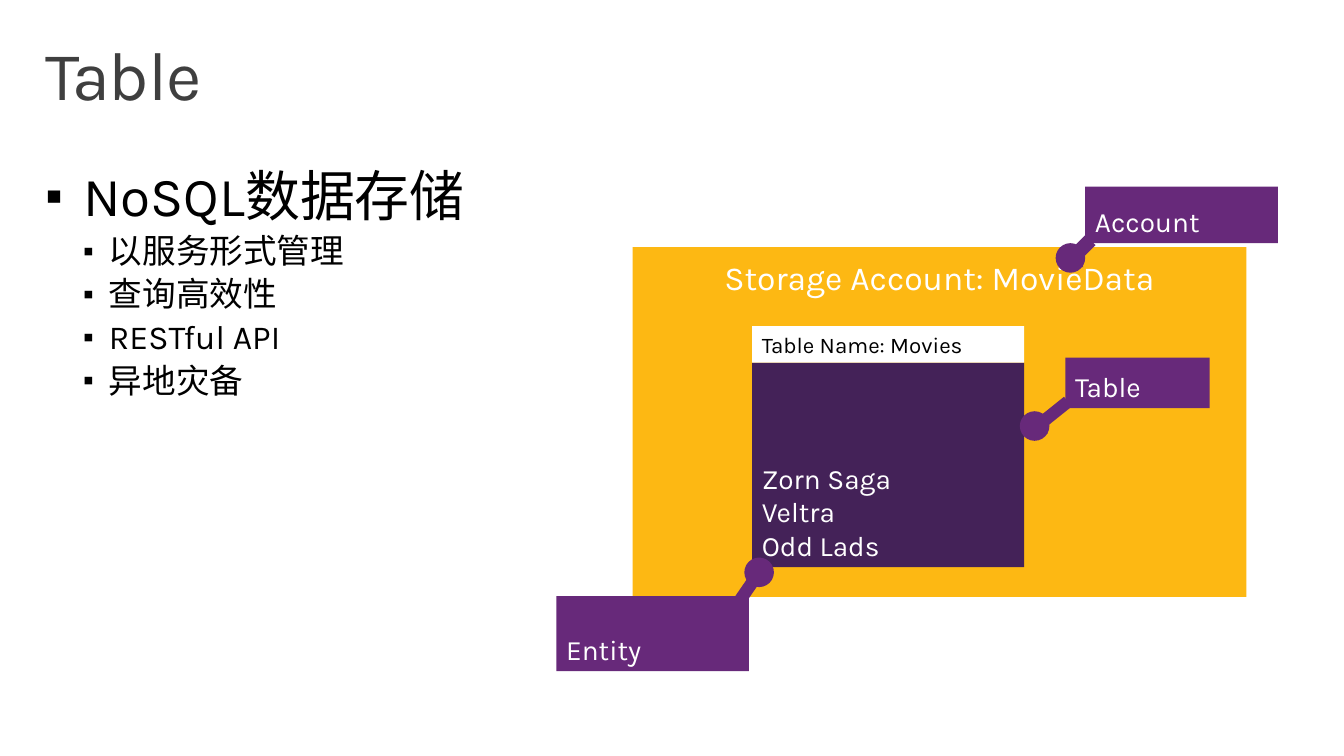
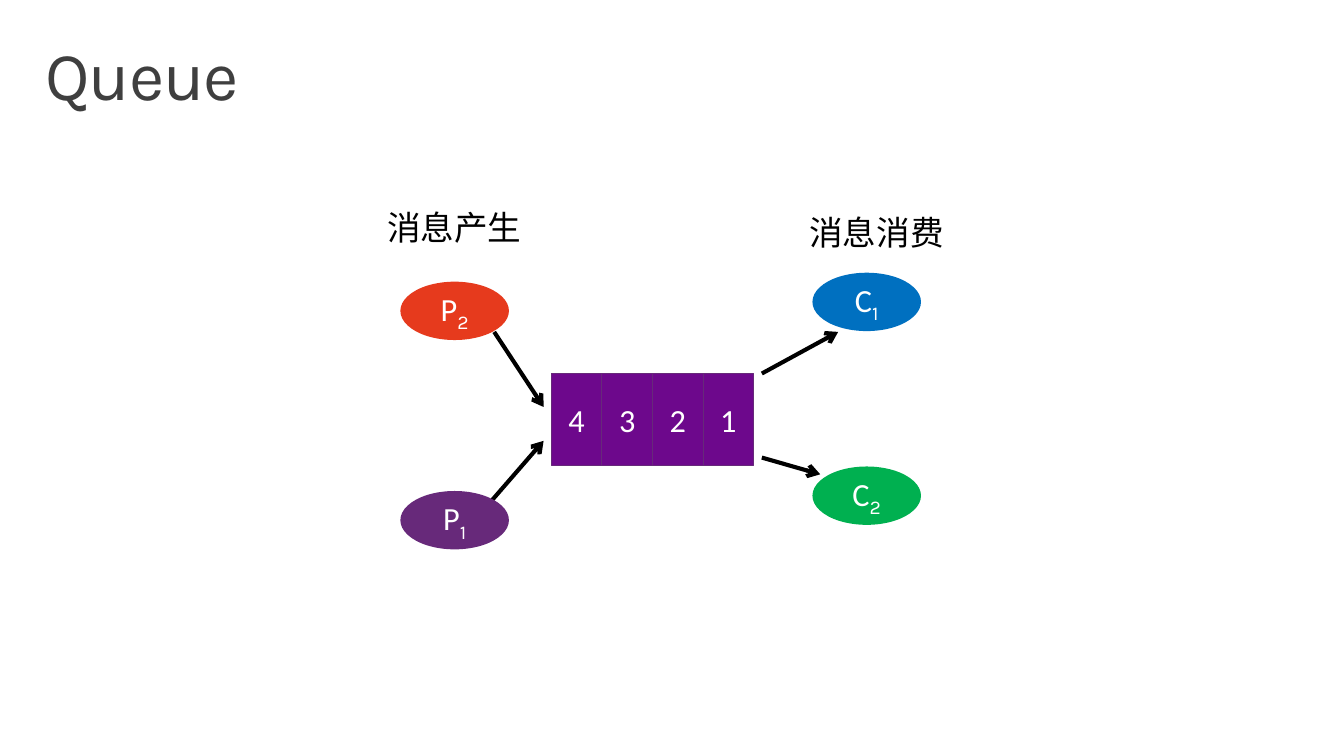
from lxml import etree
from pptx import Presentation
from pptx.dml.color import RGBColor
from pptx.enum.shapes import MSO_CONNECTOR, MSO_SHAPE
from pptx.enum.text import MSO_ANCHOR, MSO_AUTO_SIZE, PP_ALIGN
from pptx.oxml.ns import qn
from pptx.util import Cm, Pt

RECT, OVAL, ARROW = MSO_SHAPE.RECTANGLE, MSO_SHAPE.OVAL, MSO_SHAPE.RIGHT_ARROW
STRAIGHT = MSO_CONNECTOR.STRAIGHT
TOP, MIDDLE, BOTTOM = MSO_ANCHOR.TOP, MSO_ANCHOR.MIDDLE, MSO_ANCHOR.BOTTOM
LEFT, CENTER = PP_ALIGN.LEFT, PP_ALIGN.CENTER
NO_AUTOSIZE = MSO_AUTO_SIZE.NONE

BLACK = RGBColor(0x00, 0x00, 0x00)
WHITE = RGBColor(0xFF, 0xFF, 0xFF)
GRAY = RGBColor(0x3F, 0x3F, 0x3F)
YELLOW = RGBColor(0xFD, 0xB8, 0x13)
PURPLE = RGBColor(0x67, 0x29, 0x7A)
DARK_PURPLE = RGBColor(0x44, 0x22, 0x58)
VIOLET = RGBColor(0x6D, 0x08, 0x8C)
BLUE = RGBColor(0x00, 0x70, 0xC0)
GREEN = RGBColor(0x00, 0xB0, 0x50)
RED = RGBColor(0xE6, 0x3A, 0x1D)
FONT, LABEL_FONT = "Karla", "Calibri"


def write(sp, text, size=24.5, color=WHITE, font=FONT, align=LEFT, anchor=TOP,
          inset=(0.25, 0.13), spacing=None, sub=None):
    """Write one paragraph per line of text, with an optional subscript."""
    tf = sp.text_frame
    tf.word_wrap, tf.auto_size = True, NO_AUTOSIZE
    tf.vertical_anchor = anchor
    tf.margin_left = tf.margin_right = Cm(inset[0])
    tf.margin_top = tf.margin_bottom = Cm(inset[1])
    for i, line in enumerate(text.split("\n")):
        p = tf.add_paragraph() if i else tf.paragraphs[0]
        p.alignment = align
        if spacing:
            p.line_spacing = spacing
        runs = [(line, size, font)]
        if sub:
            runs.append((sub, 24.5, FONT))
        for content, points, name in runs:
            r = p.add_run()
            r.text = content
            r.font.size, r.font.name = Pt(points), name
            r.font.color.rgb = color
        if sub:
            r._r.get_or_add_rPr().set("baseline", "-25000")
    return tf


def add_box(s, kind, x, y, w, h, fill, line=None):
    sp = s.shapes.add_shape(kind, Cm(x), Cm(y), Cm(w), Cm(h))
    sp.shadow.inherit = False
    sp.fill.solid()
    sp.fill.fore_color.rgb = fill
    if line:
        sp.line.color.rgb = line
        sp.line.width = Pt(0.75)
    else:
        sp.line.fill.background()
    return sp


prs = Presentation()
prs.slide_width, prs.slide_height = Cm(34.54), Cm(19.43)

# Slides and their titles
slides = []
for name in ("Table", "Queue"):
    s = prs.slides.add_slide(prs.slide_layouts[5])
    title = s.shapes.title
    title.left, title.top = Cm(0.76), Cm(0.81)
    title.width, title.height = Cm(33.02), Cm(2.54)
    tf = write(title, name, size=50, color=GRAY, inset=(0.41, 0.25), spacing=0.9)
    tf.paragraphs[0].runs[0]._r.get_or_add_rPr().set("spc", "-100")
    slides.append(s)
table_slide, queue_slide = slides

# Table: bullet list
s = table_slide
body = s.shapes.add_textbox(Cm(0.76), Cm(4.09), Cm(30.81), Cm(6.65))
tf = write(body, "NoSQL数据存储\n以服务形式管理\n查询高效性\nRESTful API\n异地灾备",
           color=BLACK, inset=(0.41, 0.25), spacing=0.9)
tf.paragraphs[0].runs[0].font.size = Pt(40)
for i, p in enumerate(tf.paragraphs):
    p.level = 1 if i else 0
    margin, hanging = (1.63, 0.66) if i else (0.97, 0.97)
    pPr = p._p.get_or_add_pPr()
    pPr.set("marL", str(Cm(margin)))
    pPr.set("indent", str(-Cm(hanging)))
    before = etree.SubElement(pPr, qn("a:spcBef"))
    etree.SubElement(before, qn("a:spcPct"), val="20000")
    bullet_color = etree.SubElement(pPr, qn("a:buClr"))
    etree.SubElement(bullet_color, qn("a:srgbClr"), val=str(BLACK))
    etree.SubElement(pPr, qn("a:buSzPct"), val="90000")
    etree.SubElement(pPr, qn("a:buFont"), typeface="Arial")
    etree.SubElement(pPr, qn("a:buChar"), char="▪")

# Table: storage account with its table
account = add_box(s, RECT, 16.26, 6.35, 15.77, 8.99, YELLOW)
write(account, "Storage Account: MovieData", align=CENTER, inset=(0.25, 0.25))
rows = add_box(s, RECT, 19.33, 9.32, 6.99, 5.26, DARK_PURPLE)
write(rows, "Zorn Saga\nVeltra\nOdd Lads", size=20.4, anchor=BOTTOM)
header = add_box(s, RECT, 19.33, 8.38, 6.99, 0.94, WHITE)
write(header, "Table Name: Movies", size=16.3, color=BLACK, anchor=MIDDLE)

# Table: callouts as label box, pointer, pointer angle, dot position
callouts = [
    ("Entity", (14.3, 15.32, 4.95, 1.93), (18.64, 14.66, 1.37, 0.64), 304.5, (19.13, 14.33)),
    ("Table", (27.38, 9.19, 3.71, 1.3), (26.34, 10.39, 1.24, 0.64), 141.3, (26.21, 10.57)),
    ("Account", (27.89, 4.8, 4.95, 1.45), (27.18, 6.15, 0.99, 0.74), 134.8, (27.13, 6.25)),
]
for text, label, pointer, angle, dot in callouts:
    write(add_box(s, RECT, *label, PURPLE), text, size=20.4, anchor=BOTTOM)
    add_box(s, ARROW, *pointer, PURPLE).rotation = angle
    add_box(s, OVAL, *dot, 0.76, 0.76, PURPLE)

# Queue: headings
s = queue_slide
for text, x, y in (("消息产生", 9.7, 5.18), ("消息消费", 20.55, 5.31)):
    write(s.shapes.add_textbox(Cm(x), Cm(y), Cm(4.09), Cm(1.32)), text, color=BLACK)

# Queue: arrows
for x1, y1, x2, y2 in ((12.7, 8.53, 13.97, 10.46), (12.65, 12.85, 13.97, 11.33),
                       (19.58, 9.6, 21.54, 8.53), (19.58, 11.76, 21.08, 12.19)):
    arrow = s.shapes.add_connector(STRAIGHT, Cm(x1), Cm(y1), Cm(x2), Cm(y2))
    arrow.line.color.rgb = BLACK
    arrow.line.width = Pt(3)
    etree.SubElement(arrow.line._get_or_add_ln(), qn("a:tailEnd"), type="arrow")
    etree.SubElement(arrow._element.spPr, qn("a:effectLst"))

# Queue: producers and consumers
for letter, number, x, y, color in (("P", "2", 10.29, 7.24, RED), ("P", "1", 10.29, 12.62, PURPLE),
                                    ("C", "1", 20.88, 7.01, BLUE), ("C", "2", 20.88, 11.99, GREEN)):
    write(add_box(s, OVAL, x, y, 2.79, 1.5, color), letter, size=23.5, font=LABEL_FONT,
          align=CENTER, anchor=MIDDLE, sub=number)

# Queue: messages
for i, number in enumerate("4321"):
    message = add_box(s, RECT, 14.17 + i * 1.3, 9.6, 1.3, 2.36, VIOLET, line=PURPLE)
    write(message, number, size=23.5, font=LABEL_FONT, align=CENTER, anchor=MIDDLE)

prs.save("out.pptx")
